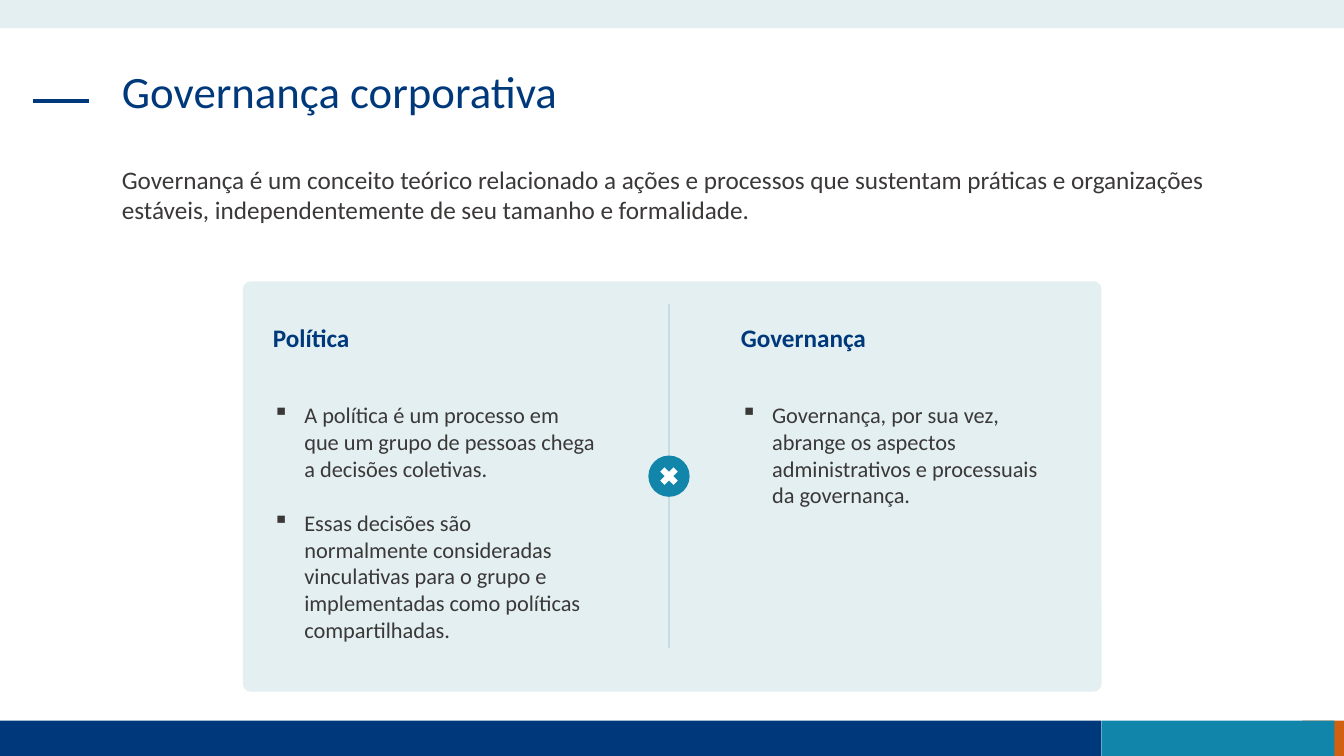
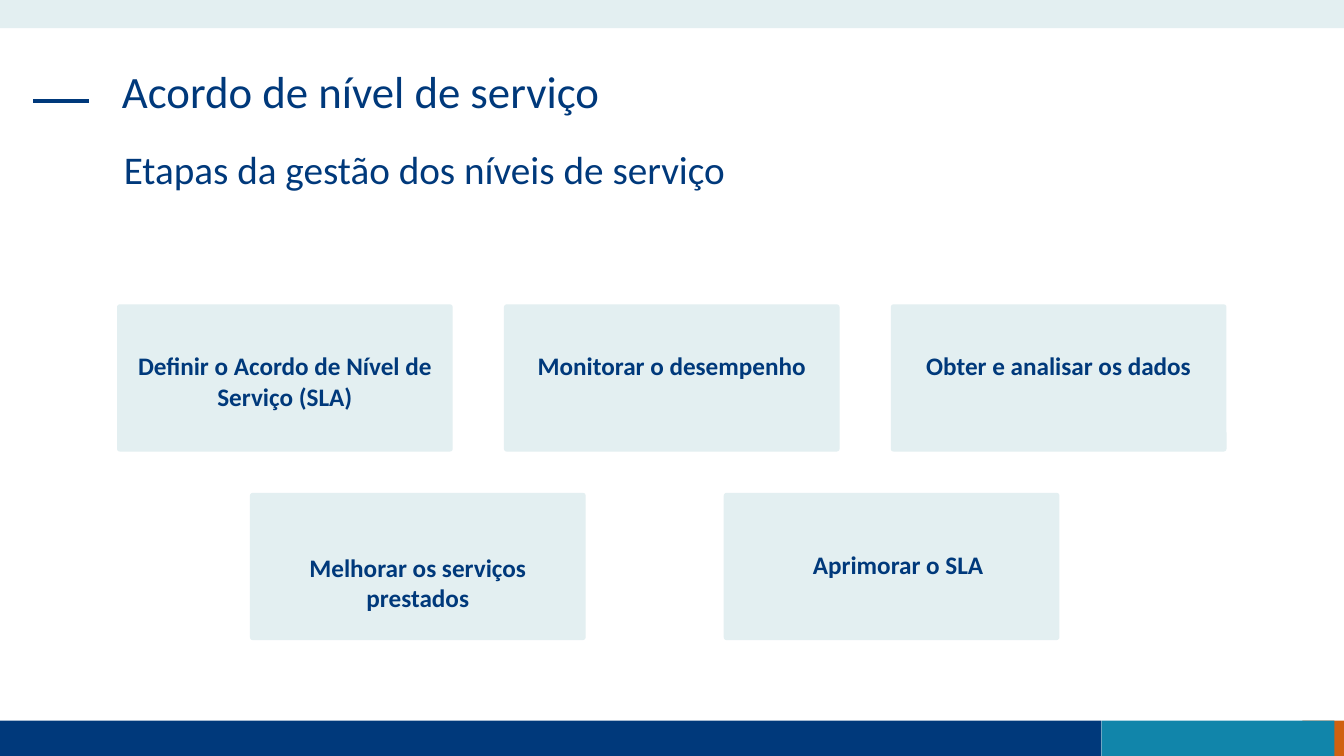
"""Build two slides on corporate governance and service level agreements."""
from lxml import etree
from pptx import Presentation
from pptx.dml.color import RGBColor
from pptx.enum.shapes import MSO_CONNECTOR, MSO_SHAPE as SHAPE
from pptx.enum.text import MSO_ANCHOR, MSO_AUTO_SIZE, PP_ALIGN as ALIGN
from pptx.oxml.ns import qn
from pptx.util import Cm, Pt

NAVY = RGBColor(0x00, 0x39, 0x7B)
TEAL = RGBColor(0x11, 0x85, 0xAA)
ORANGE = RGBColor(0xD0, 0x61, 0x10)
PALE = RGBColor(0xE3, 0xEF, 0xF1)
RULE = RGBColor(0xC4, 0xDD, 0xE1)
GREY = RGBColor(0x3B, 0x38, 0x38)
WHITE = RGBColor(0xFF, 0xFF, 0xFF)
FONT = "Calibri"


def add_block(page, kind, left, top, width, height, color):
    """Add a filled preset shape without outline or shadow, in cm."""
    block = page.shapes.add_shape(kind, Cm(left), Cm(top), Cm(width), Cm(height))
    block.shadow.inherit = False
    block.fill.solid()
    block.fill.fore_color.rgb = color
    block.line.fill.background()
    if kind == SHAPE.ROUNDED_RECTANGLE:
        block.adjustments[0] = 0.019
    return block


def write(box, texts, size, color, bold=False, align=ALIGN.LEFT, spacing=1.0):
    """Fill a box with one formatted paragraph per text, from the top."""
    frame = box.text_frame
    frame.word_wrap = True
    frame.auto_size = MSO_AUTO_SIZE.NONE
    frame.vertical_anchor = MSO_ANCHOR.TOP
    for index, text in enumerate(texts):
        para = frame.add_paragraph() if index else frame.paragraphs[0]
        para.alignment = align
        para.line_spacing = spacing
        span = para.add_run()
        span.text = text
        span.font.name = FONT
        span.font.size = Pt(size)
        span.font.bold = bold
        span.font.color.rgb = color
    return frame.paragraphs


deck = Presentation()
deck.slide_width, deck.slide_height = Cm(33.87), Cm(19.05)
layout = deck.slide_layouts[5]
title = layout.placeholders[0]
title.left, title.top, title.width, title.height = Cm(2.82), Cm(1.63), Cm(28.19), Cm(2.39)

pages = []
for heading in ("Governança corporativa", "Acordo de nível de serviço"):
    page = deck.slides.add_slide(layout)
    write(page.shapes.title, [heading], 32, NAVY, spacing=0.9)
    pages.append(page)
governance, agreement = pages

bands = [
    (32.82, 18.16, 1.05, 0.89, ORANGE),
    (0, 18.16, 27.76, 0.89, NAVY),
    (27.76, 18.16, 5.87, 0.89, TEAL),
    (0, 0, 33.87, 0.71, PALE),
]
for left, top, width, height, color in bands:
    band = add_block(governance, SHAPE.RECTANGLE, left, top, width, height, color)
    layout.shapes.element.append(band.element)

panel = add_block(governance, SHAPE.ROUNDED_RECTANGLE, 6.12, 7.09, 21.64, 10.34, PALE)

lines = [
    (0.84, 2.54, 2.24, 2.54, NAVY, 3),
    (16.86, 7.65, 16.86, 16.33, RULE, 1.5),
]
connectors = []
for x1, y1, x2, y2, color, weight in lines:
    line = governance.shapes.add_connector(MSO_CONNECTOR.STRAIGHT, Cm(x1), Cm(y1), Cm(x2), Cm(y2))
    line.line.color.rgb = color
    line.line.width = Pt(weight)
    etree.SubElement(line.element.spPr, qn("a:effectLst"))
    connectors.append(line)
title_dash, divider = connectors
layout.shapes.element.append(title_dash.element)

for kind, size, color in ((SHAPE.OVAL, 1.04, TEAL), (SHAPE.MATH_MULTIPLY, 0.64, WHITE)):
    add_block(governance, kind, 16.86 - size / 2, 12 - size / 2, size, size, color)

intro = governance.shapes.add_textbox(Cm(2.82), Cm(4.01), Cm(28.19), Cm(1.8))
write(intro, [
    "Governança é um conceito teórico relacionado a ações e processos que sustentam "
    "práticas e organizações estáveis, independentemente de seu tamanho e formalidade."
], 18, GREY)

columns = [
    (6.63, 6.4, "Política", [
        "A política é um processo em que um grupo de pessoas chega a decisões coletivas.",
        "Essas decisões são normalmente consideradas vinculativas para o grupo e "
        "implementadas como políticas compartilhadas.",
    ]),
    (18.42, 3, "Governança", [
        "Governança, por sua vez, abrange os aspectos administrativos e processuais da governança.",
    ]),
]
for left, height, heading, items in columns:
    head = governance.shapes.add_textbox(Cm(left), Cm(8), Cm(8.66), Cm(1.02))
    write(head, [heading], 18, NAVY, bold=True)
    body = governance.shapes.add_textbox(Cm(left), Cm(9.98), Cm(8.66), Cm(height))
    for index, para in enumerate(write(body, items, 16, GREY)):
        if index:
            para.space_before = Pt(19.5)
        props = para._p.get_or_add_pPr()
        props.set("marL", str(Cm(0.79)))
        props.set("indent", str(-Cm(0.79)))
        etree.SubElement(props, qn("a:buChar")).set("char", "▪")

subtitle = agreement.shapes.add_textbox(Cm(2.87), Cm(3.68), Cm(28.17), Cm(1.5))
write(subtitle, ["Etapas da gestão dos níveis de serviço"], 28, NAVY, spacing=0.9)

rows = [
    (2.95, 9.75, 7.67, [
        ("Definir o Acordo de Nível de Serviço (SLA)", 0.45, 1.15),
        ("Monitorar o desempenho", 0.45, 1.15),
        ("Obter e analisar os dados", 0.45, 1.15),
    ]),
    (6.3, 11.94, 12.42, [
        ("Melhorar os serviços prestados", 0.45, 1.48),
        ("Aprimorar o SLA", 0.78, 1.4),
    ]),
]
for start, step, top, steps in rows:
    for index, (text, inset_left, inset_top) in enumerate(steps):
        card = add_block(agreement, SHAPE.ROUNDED_RECTANGLE, start + index * step, top, 8.46, 3.71, PALE)
        write(card, [text], 18, NAVY, bold=True, align=ALIGN.CENTER)
        card.text_frame.margin_left = Cm(inset_left)
        card.text_frame.margin_right = Cm(0.45)
        card.text_frame.margin_top = Cm(inset_top)

deck.save("out.pptx")
